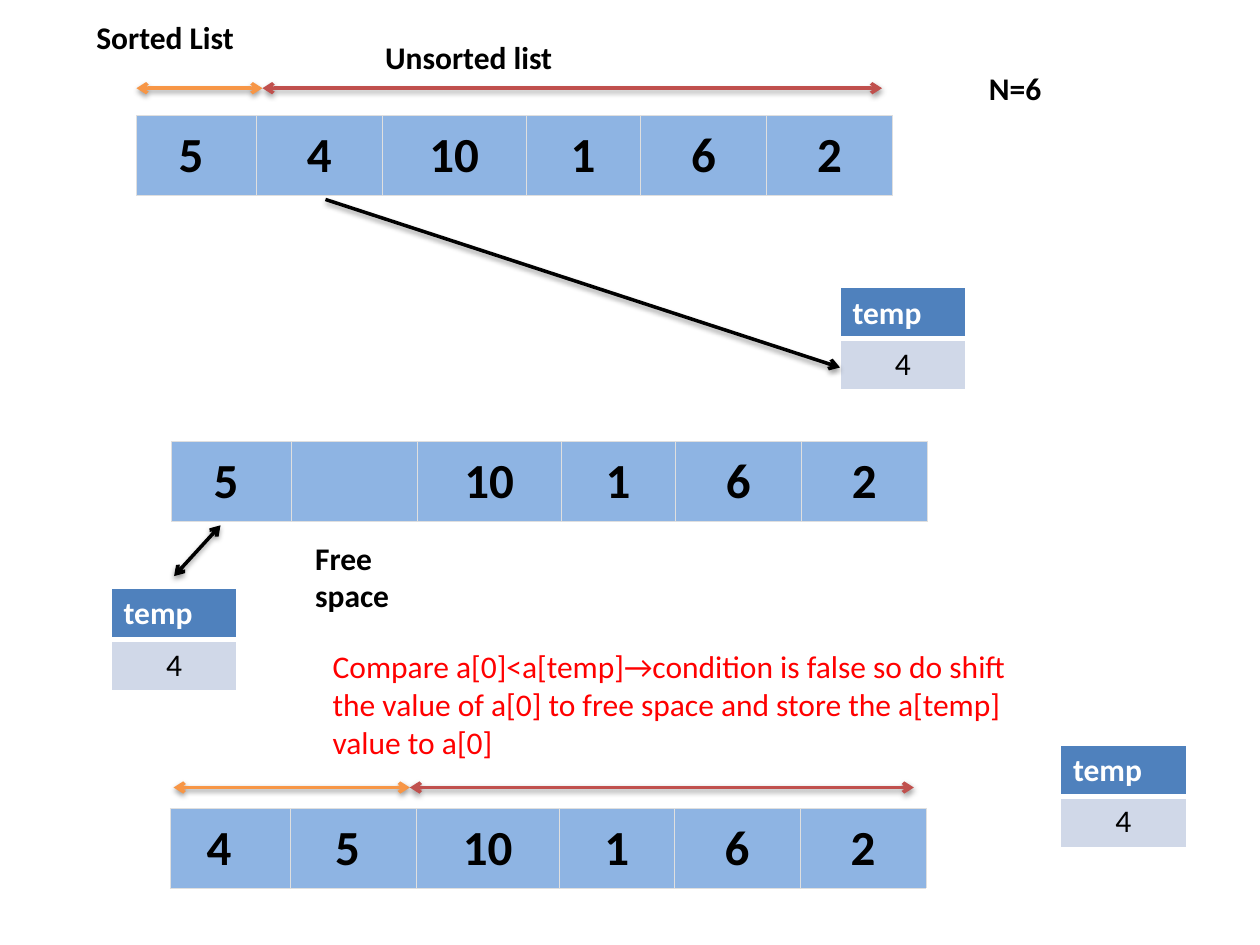
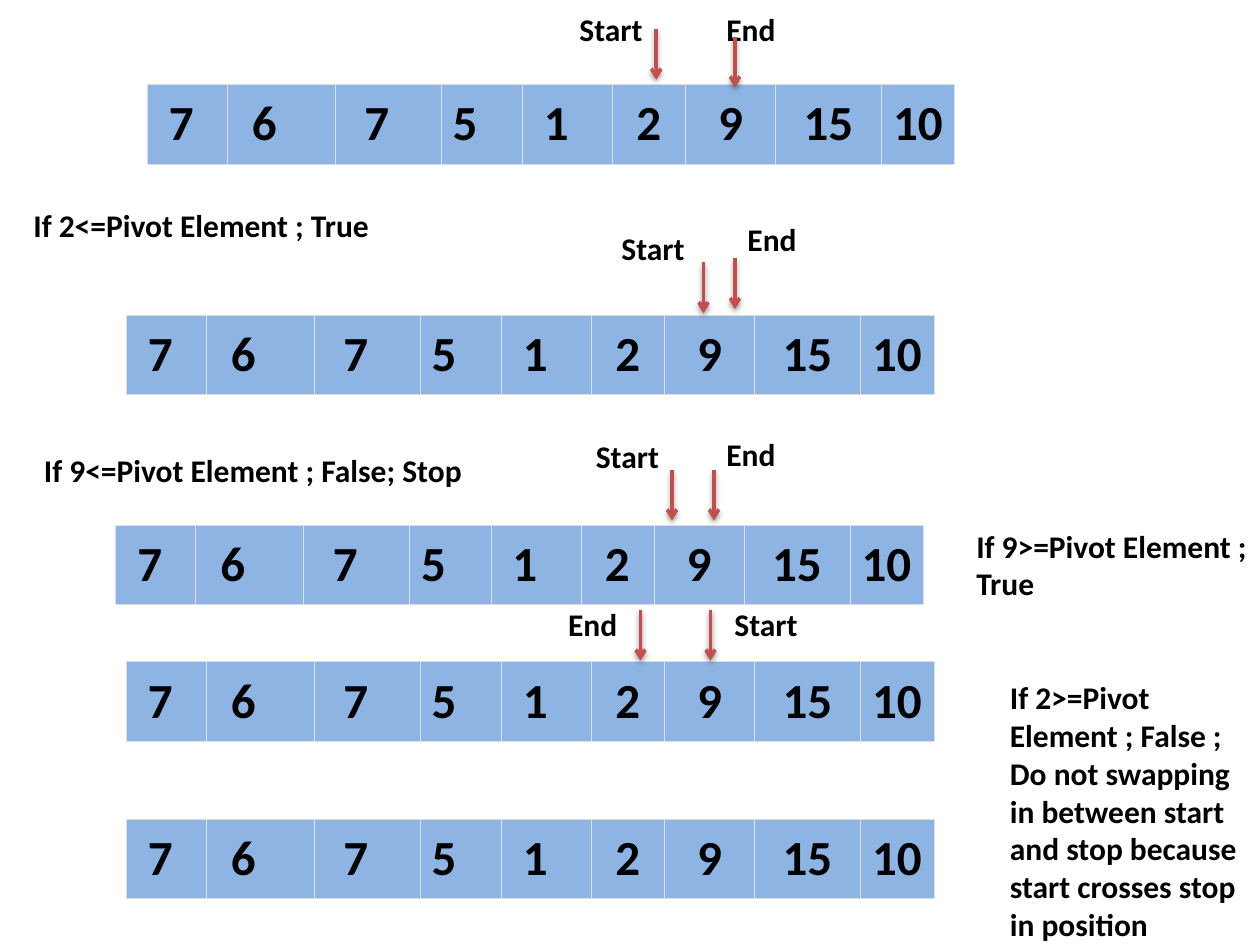
from lxml.etree import SubElement
from pptx import Presentation
from pptx.dml.color import RGBColor
from pptx.enum.shapes import MSO_CONNECTOR
from pptx.enum.text import MSO_ANCHOR, MSO_AUTO_SIZE, PP_ALIGN
from pptx.oxml import parse_xml
from pptx.oxml.ns import nsdecls, qn
from pptx.util import Pt

FONT = "Calibri"
BLACK, WHITE, RED = "000000", "FFFFFF", "FF0000"
CELL_BLUE, CELL_EDGE = "8EB4E3", "DFDFDF"
HEAD_BLUE, PALE_BLUE = "4F81BD", "D0D8E8"
SORTED_ORANGE, UNSORTED_RED = "F79646", "C0504D"

ROW_HEIGHT = 45.4
CELL_MARGIN = 5.76
NUDGE = 6.33  # extra right margin that moves a centred number left by half as much
TEMP_WIDTH, TEMP_ROW = 72, 29.2
MARKER_LENGTH = 29
LABEL_HEIGHT = 29
WORD_WIDTHS = {"Start": 51, "End": 42.5}

SORT_WIDTHS = [68.5, 72, 82, 65.5, 72, 72]
PIVOT_WIDTHS = [45.6, 61.8, 60.5, 46.6, 51.4, 41.9, 51.4, 60.5, 41.9]
PIVOT_VALUES = ["7", "6", "7", "5", "1", "2", "9", "15", "10"]
PIVOT_NUDGES = [1, 3, 2, 3, 2, 0, 0, 0, 0]


def color(hex_string):
    return RGBColor.from_string(hex_string)


def add_span(para, text, size, ink, bold):
    span = para.add_run()
    span.text = text
    span.font.name = FONT
    span.font.size = Pt(size)
    span.font.bold = bold
    span.font.color.rgb = color(ink)


def add_label(page, left, top, width, lines, height=LABEL_HEIGHT,
              ink=BLACK, bold=True, wrap=True):
    box = page.shapes.add_textbox(Pt(left), Pt(top), Pt(width), Pt(height))
    frame = box.text_frame
    frame.word_wrap = wrap
    frame.auto_size = MSO_AUTO_SIZE.SHAPE_TO_FIT_TEXT
    for index, line in enumerate(lines):
        para = frame.add_paragraph() if index else frame.paragraphs[0]
        add_span(para, line, 18, ink, bold)


def add_arrow(page, start, end, ink, double=False):
    """Draw a softly shadowed arrow, with a head at both ends if double."""
    arrow = page.shapes.add_connector(
        MSO_CONNECTOR.STRAIGHT, *(Pt(value) for value in (*start, *end)))
    arrow.line.width = Pt(2)
    arrow.line.color.rgb = color(ink)
    line = arrow.line._get_or_add_ln()
    for tag in ["a:headEnd", "a:tailEnd"] if double else ["a:tailEnd"]:
        SubElement(line, qn(tag), type="arrow")
    arrow._element.spPr.append(parse_xml(
        f'<a:effectLst {nsdecls("a")}><a:outerShdw blurRad="{Pt(3.1)}" '
        f'dist="{Pt(1.6)}" dir="5400000" rotWithShape="0">'
        f'<a:srgbClr val="{BLACK}"><a:alpha val="38000"/></a:srgbClr>'
        f'</a:outerShdw></a:effectLst>'))


def style_cell(cell, fill, edge, width, bottom=None):
    cell.fill.solid()
    cell.fill.fore_color.rgb = color(fill)
    properties = cell._tc.get_or_add_tcPr()
    widths = {"lnL": width, "lnR": width, "lnT": width, "lnB": bottom or width}
    for index, (tag, weight) in enumerate(widths.items()):
        properties.insert(index, parse_xml(
            f'<a:{tag} {nsdecls("a")} w="{Pt(weight)}"><a:solidFill>'
            f'<a:srgbClr val="{edge}"/></a:solidFill></a:{tag}>'))


def add_grid(page, left, top, widths, heights):
    frame = page.shapes.add_table(
        len(heights), len(widths), Pt(left), Pt(top),
        Pt(sum(widths)), Pt(sum(heights)))
    grid = frame.table
    grid.first_row = grid.horz_banding = False
    for column, width in zip(grid.columns, widths):
        column.width = Pt(width)
    for row, height in zip(grid.rows, heights):
        row.height = Pt(height)
    return grid


def add_array(page, left, top, widths, values, nudges):
    grid = add_grid(page, left, top, widths, [ROW_HEIGHT])
    for index, (value, nudge) in enumerate(zip(values, nudges)):
        cell = grid.cell(0, index)
        style_cell(cell, CELL_BLUE, CELL_EDGE, 0.18)
        side = CELL_MARGIN if index else CELL_MARGIN / 2
        cell.margin_left = Pt(side)
        cell.margin_right = Pt(side + nudge * NUDGE)
        cell.margin_top = cell.margin_bottom = Pt(CELL_MARGIN)
        cell.vertical_anchor = MSO_ANCHOR.MIDDLE
        para = cell.text_frame.paragraphs[0]
        para.alignment = PP_ALIGN.CENTER
        if value:
            add_span(para, value, 28, BLACK, True)


def add_temp(page, left, top):
    grid = add_grid(page, left, top, [TEMP_WIDTH], [TEMP_ROW] * 2)
    head, body = grid.cell(0, 0), grid.cell(1, 0)
    style_cell(head, HEAD_BLUE, WHITE, 1, bottom=3)
    style_cell(body, PALE_BLUE, WHITE, 1)
    add_span(head.text_frame.paragraphs[0], "temp", 18, WHITE, True)
    para = body.text_frame.paragraphs[0]
    para.alignment = PP_ALIGN.CENTER
    add_span(para, "4", 18, BLACK, False)


def add_extents(page, left, top, split, right):
    """Mark the sorted and unsorted parts, meeting at split."""
    add_arrow(page, (left, top), (split, top), SORTED_ORANGE, double=True)
    add_arrow(page, (split, top), (right, top), UNSORTED_RED, double=True)


def take_out_step(page, left, top):
    add_array(page, left, top, SORT_WIDTHS,
              ["5", "4", "10", "1", "6", "2"], [1, 0, 0, 0, 0, 0])
    add_extents(page, left, top - 15.6, left + 72, left + 426)
    add_label(page, left - 30, top - 59, 102, ["Sorted List"])
    add_label(page, left + 135, top - 48, 228, ["Unsorted list"])
    add_label(page, left + 480, top - 30, 84, ["N=6"])
    add_temp(page, left + 402, top + 98.4)
    add_arrow(page, (left + 108, top + 48), (left + 402, top + 144), BLACK)


def compare_step(page, left, top):
    add_array(page, left, top, SORT_WIDTHS,
              ["5", "", "10", "1", "6", "2"], [1, 0, 0, 0, 0, 0])
    add_label(page, left + 75, top + 52, 72, ["Free space"], height=51)
    add_temp(page, left - 34.5, top + 84.2)
    add_arrow(page, (left + 1.5, top + 77), (left + 28, top + 48),
              BLACK, double=True)
    add_label(page, left + 85, top + 114, 417,
              ["Compare a[0]<a[temp]→condition is false so do shift the value "
               "of a[0] to free space and store the a[temp] value to a[0]"],
              height=73, ink=RED, bold=False)


def insert_step(page, left, top):
    add_array(page, left, top, SORT_WIDTHS,
              ["4", "5", "10", "1", "6", "2"], [2, 1, 0, 0, 0, 0])
    add_temp(page, left + 508.8, top - 36)
    add_extents(page, left + 2, top - 12, left + 137, left + 425)


def pivot_step(page, left, top, markers=()):
    """Place an array and its markers: word, word offset, arrow offset."""
    add_array(page, left, top, PIVOT_WIDTHS, PIVOT_VALUES, PIVOT_NUDGES)
    for word, (word_x, word_y), (arrow_x, arrow_y) in markers:
        add_label(page, left + word_x, top + word_y, WORD_WIDTHS[word],
                  [word], wrap=False)
        x, y = left + arrow_x, top + arrow_y
        add_arrow(page, (x, y), (x, y + MARKER_LENGTH), UNSORTED_RED)


def insertion_page(page):
    take_out_step(page, 78, 66)
    compare_step(page, 98, 252.2)
    insert_step(page, 97.2, 462)


def pivot_page(page):
    pivot_step(page, 84, 48, [("Start", (240, -45.7), (291, -31.4)),
                              ("End", (324, -45.7), (336, -27))])
    add_label(page, 12, 114, 212.5, ["If 2<=Pivot Element ; True"], wrap=False)
    pivot_step(page, 72, 180, [("Start", (276, -52.6), (330, -30)),
                               ("End", (348, -57.6), (348, -32.4))])
    add_label(page, 18, 254, 255.5,
              ["If 9<=Pivot Element ; False; Stop"], wrap=False)
    pivot_step(page, 66, 300, [("Start", (267.4, -53.8), (318, -31.6)),
                               ("End", (342, -55.2), (342, -31.6))])
    add_label(page, 550.8, 297.4, 172, ["If 9>=Pivot Element ; True"], height=51)
    pivot_step(page, 72, 378, [("Start", (340.6, -36), (334, -29.5)),
                               ("End", (245.5, -36), (294, -29.5))])
    add_label(page, 570, 384, 146,
              ["If 2>=Pivot Element ; False ;",
               "Do not swapping in between start and stop because start "
               "crosses stop in position"], height=160)
    pivot_step(page, 72, 468)


def main():
    deck = Presentation()
    deck.slide_width, deck.slide_height = Pt(720), Pt(540)
    for build in (insertion_page, pivot_page):
        build(deck.slides.add_slide(deck.slide_layouts[6]))
    deck.save("out.pptx")


if __name__ == "__main__":
    main()
